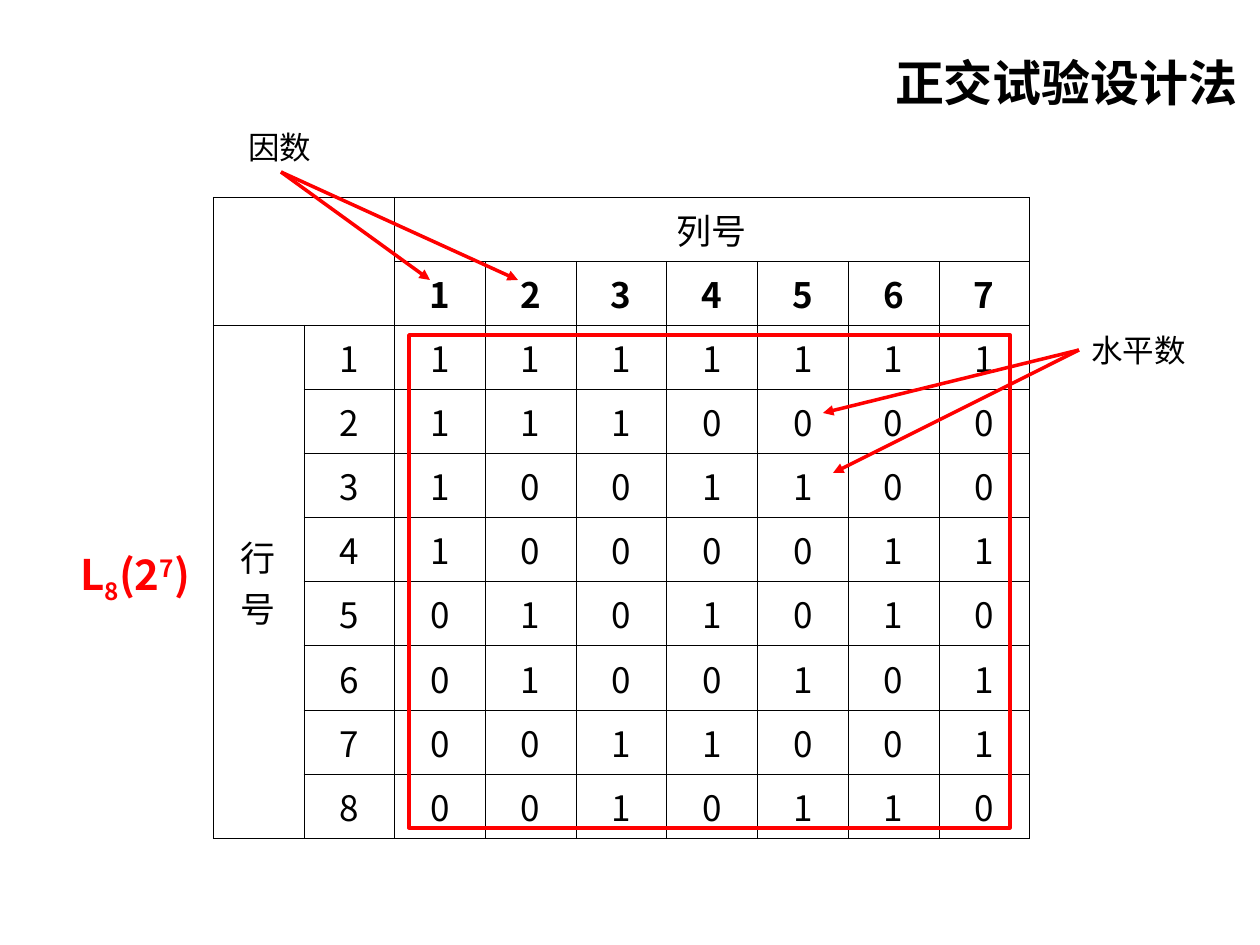
"""Build the orthogonal-array slide with its annotated L8(2^7) table."""
from dataclasses import dataclass

from lxml.etree import SubElement
from pptx import Presentation
from pptx.dml.color import RGBColor
from pptx.enum.shapes import MSO_CONNECTOR, MSO_SHAPE
from pptx.enum.text import MSO_ANCHOR, MSO_AUTO_SIZE, PP_ALIGN
from pptx.oxml import parse_xml
from pptx.oxml.ns import nsdecls, qn
from pptx.util import Emu, Pt

PX = 914400 / 126
BLACK, RED = "000000", "FF0000"
CJK, LATIN = "Noto Sans CJK SC", "Arial"
TABLE_LEFT, TABLE_TOP, TABLE_WIDTH, TABLE_HEIGHT = 213, 197, 817, 641
ROWS, COLUMNS = 10, 9
LEVELS = ["1111111", "1110000", "1001100", "1000011",
          "0101010", "0100101", "0011001", "0010110"]


@dataclass(frozen=True)
class Span:
    text: str
    baseline: int = 0


@dataclass(frozen=True)
class Label:
    spans: tuple[Span, ...]
    left: int
    top: int
    width: int
    height: int
    size: int
    font: str = LATIN
    color: str = BLACK
    bold: bool = False
    wrap: bool = True


@dataclass(frozen=True)
class Callout:
    label: Label
    site: int
    targets: tuple[tuple[int, int], ...]


TITLE = Label((Span("正交试验设计法"),), 736, 14, 514, 106, 28, CJK, bold=True)
ARRAY_NAME = Label((Span("L"), Span("8", -25), Span("(2"), Span("7", 30), Span(")")),
                   68, 542, 155, 70, 24, CJK, RED, True, False)
CALLOUTS = [
    Callout(Label((Span("水平数"),), 1079, 325, 168, 50, 18), 1,
            ((833, 473), (823, 413))),
    Callout(Label((Span("因数"),), 236, 122, 90, 50, 18), 2,
            ((430, 280), (518, 280))),
]


def px(value: float) -> Emu:
    """Turn pixels into EMU."""
    return Emu(round(value * PX))


def rgb(color: str) -> RGBColor:
    """Turn a hex string into a colour."""
    return RGBColor.from_string(color)


def add_span(para, span: Span, size: int, font: str, color: str, bold: bool) -> None:
    """Append one formatted run to a paragraph."""
    run = para.add_run()
    run.text = span.text
    for name, value in {"size": Pt(size), "name": font, "bold": bold}.items():
        setattr(run.font, name, value)
    run.font.color.rgb = rgb(color)
    properties = run.font._element
    SubElement(properties, qn("a:ea")).set("typeface", font)
    if span.baseline:
        properties.set("baseline", str(span.baseline * 1000))


def add_label(page, label: Label):
    """Add a text box that grows with its text."""
    box = page.shapes.add_textbox(px(label.left), px(label.top),
                                  px(label.width), px(label.height))
    frame = box.text_frame
    for name, value in {"word_wrap": label.wrap,
                        "auto_size": MSO_AUTO_SIZE.SHAPE_TO_FIT_TEXT}.items():
        setattr(frame, name, value)
    for span in label.spans:
        add_span(frame.paragraphs[0], span, label.size, label.font, label.color, label.bold)
    return box


def add_title(page) -> None:
    """Add the right-aligned heading."""
    frame = add_label(page, TITLE).text_frame
    frame.auto_size = MSO_AUTO_SIZE.NONE
    frame.vertical_anchor = MSO_ANCHOR.MIDDLE
    para = frame.paragraphs[0]
    para.alignment = PP_ALIGN.RIGHT
    para.line_spacing = 1.5


def outline_cell(cell) -> None:
    """Clear a cell's fill and give it four hairline borders."""
    cell.fill.background()
    properties = cell._tc.get_or_add_tcPr()
    for index, side in enumerate(("lnL", "lnR", "lnT", "lnB")):
        properties.insert(index, parse_xml(
            f'<a:{side} {nsdecls("a")} w="{Pt(0.23)}"><a:solidFill>'
            f'<a:srgbClr val="{BLACK}"/></a:solidFill></a:{side}>'))


def write_cell(cell, text: str, bold: bool = False) -> None:
    """Write centred text into a cell."""
    cell.vertical_anchor = MSO_ANCHOR.MIDDLE
    para = cell.text_frame.paragraphs[0]
    para.alignment = PP_ALIGN.CENTER
    add_span(para, Span(text), 20, CJK, BLACK, bold)


def add_array_table(page) -> None:
    """Add the table of runs, factors and levels."""
    table = page.shapes.add_table(ROWS, COLUMNS, px(TABLE_LEFT), px(TABLE_TOP),
                                  px(TABLE_WIDTH), px(TABLE_HEIGHT)).table
    table.first_row = table.horz_banding = False
    for column in table.columns:
        column.width = px(TABLE_WIDTH / COLUMNS)
    for row in table.rows:
        row.height = px(TABLE_HEIGHT / ROWS)
    for cell in table.iter_cells():
        outline_cell(cell)
    for first, last in (((0, 0), (1, 1)), ((0, 2), (0, 8)), ((2, 0), (9, 0))):
        table.cell(*first).merge(table.cell(*last))
    write_cell(table.cell(0, 2), "列号")
    write_cell(table.cell(2, 0), "行号")
    for factor in range(1, 8):
        write_cell(table.cell(1, factor + 1), str(factor), bold=True)
    for number, levels in enumerate(LEVELS, 1):
        for column, text in enumerate(str(number) + levels, 1):
            write_cell(table.cell(number + 1, column), text)


def add_level_frame(page) -> None:
    """Add the red frame around the levels."""
    frame = page.shapes.add_shape(MSO_SHAPE.RECTANGLE, px(409), px(335), px(601), px(493))
    frame.shadow.inherit = False
    frame.fill.background()
    frame.line.color.rgb = rgb(RED)
    frame.line.width = Pt(2)


def add_callout(page, callout: Callout) -> None:
    """Add a label with arrows joined to it."""
    box = add_label(page, callout.label)
    for x, y in callout.targets:
        arrow = page.shapes.add_connector(MSO_CONNECTOR.STRAIGHT, 0, 0, px(x), px(y))
        arrow.begin_connect(box, callout.site)
        arrow.line.color.rgb = rgb(RED)
        arrow.line.width = Pt(2)
        SubElement(arrow.line._get_or_add_ln(), qn("a:tailEnd")).set("type", "triangle")
        SubElement(arrow._element.spPr, qn("a:effectLst"))


def main() -> None:
    """Build and save the deck."""
    deck = Presentation()
    deck.slide_width, deck.slide_height = px(1260), px(945)
    page = deck.slides.add_slide(deck.slide_layouts[6])
    add_title(page)
    add_array_table(page)
    add_level_frame(page)
    for callout in CALLOUTS:
        add_callout(page, callout)
    add_label(page, ARRAY_NAME)
    deck.save("out.pptx")


if __name__ == "__main__":
    main()
